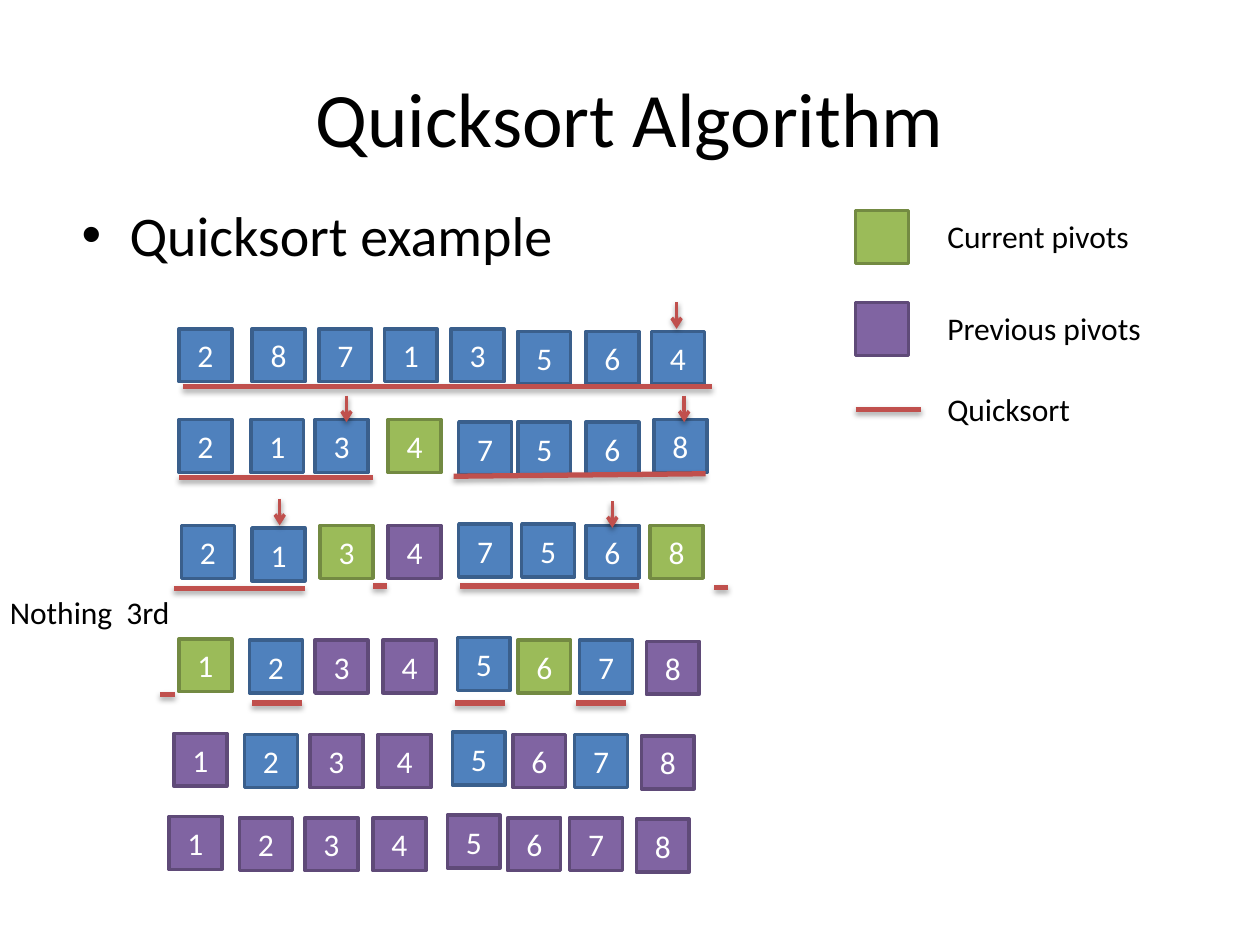
"""Build the quicksort example slide on a grid of 100 columns by 75 rows."""
from lxml import etree
from pptx import Presentation, util as u
from pptx.dml import color
from pptx.enum import shapes, text
from pptx.oxml import ns

prs = Presentation()
prs.slide_width, prs.slide_height = u.Inches(10), u.Inches(7.5)
s = prs.slides.add_slide(prs.slide_layouts[6])
unit = prs.slide_width // 100
rgb = color.RGBColor.from_string


def grid(*cells):
    return [round(c * unit) for c in cells]


def write(sp, words, size=18, fill="000000", align="LEFT", anchor="TOP", before=0):
    tf = sp.text_frame
    tf.word_wrap = True
    tf.vertical_anchor = text.MSO_ANCHOR[anchor]
    p = tf.paragraphs[0]
    p.alignment = text.PP_ALIGN[align]
    p.space_before = u.Pt(before)
    r = p.add_run()
    r.text = words
    r.font.size, r.font.name = u.Pt(size), "Calibri"
    r.font.color.rgb = rgb(fill)
    return p


write(s.shapes.add_textbox(*grid(5, 3, 90, 12.5)), "Quicksort Algorithm",
      size=44, align="CENTER", anchor="MIDDLE")
p = write(s.shapes.add_textbox(*grid(5.5, 15.4, 90, 6.7)), "Quicksort example",
          size=32, before=6.4)
pPr = p._p.get_or_add_pPr()
pPr.set("marL", str(u.Inches(0.38)))
pPr.set("indent", str(-u.Inches(0.38)))
etree.SubElement(pPr, ns.qn("a:buFont")).set("typeface", "Arial")
etree.SubElement(pPr, ns.qn("a:buChar")).set("char", "•")

labels = [
    (74.2, 16.7, 20, "Current pivots"),
    (74.2, 24, 21.7, "Previous pivots"),
    (74.2, 30.5, 21.7, "Quicksort"),
    (-0.2, 46.6, 15.6, "Nothing  3rd"),
]
for x, y, w, words in labels:
    write(s.shapes.add_textbox(*grid(x, y, w, 4)), words)

# digits, states (w waiting, c current pivot, p previous pivot), top, columns, dips
late = [14.2, 19.8, 25, 30.4, 36.3, 41.1, 46, 51.3]
late_dips = [0.1, 0.2, 0.2, 0.2, 0, 0.2, 0.2, 0.3]
rows = [
    ("28713564", "wwwwwwww", 26.1, [14.2, 20, 25.3, 30.5, 35.8, 41.1, 46.5, 51.7],
     [0, 0, 0, 0, 0, 0.2, 0.2, 0.2]),
    ("21347568", "wwwcwwww", 33.3, [14.2, 19.9, 25, 30.8, 36.4, 41.1, 46.5, 51.9],
     [0, 0, 0, 0, 0.2, 0.2, 0.2, 0]),
    ("21347568", "wwcpwwwc", 41.6, [14.4, 20, 25.4, 30.8, 36.4, 41.4, 46.5, 51.6],
     [0.1, 0.3, 0.1, 0.1, 0, 0, 0.1, 0.1]),
    ("12345678", "cwppwcwp", 50.6, late, late_dips),
    ("12345678", "pwppwpwp", 58.1, [x - 0.4 for x in late], late_dips),
    ("12345678", "pppppppp", 64.7, [x - 0.8 for x in late], late_dips),
]
squares = [("", "c", 67.9, 16.7), ("", "p", 67.9, 24)]
for digits, states, top, columns, dips in rows:
    squares += [(d, k, x, top + dip)
                for d, k, x, dip in zip(digits, states, columns, dips)]

colours = {"w": ("4F81BD", "3A5F8C"), "c": ("9BBB59", "738A42"), "p": ("8064A2", "5F4A78")}
for digit, state, x, y in squares:
    fill, edge = colours[state]
    sp = s.shapes.add_shape(shapes.MSO_SHAPE.RECTANGLE, *grid(x, y, 4.2, 4.2))
    sp.shadow.inherit = False
    sp.fill.solid()
    sp.fill.fore_color.rgb = rgb(fill)
    sp.line.color.rgb = rgb(edge)
    sp.line.width = u.Pt(2)
    if digit:
        write(sp, digit, fill="FFFFFF", align="CENTER", anchor="MIDDLE")

underlines = [
    (67.9, 32.5, 73.1, 32.5),
    (14.5, 30.7, 56.5, 30.7),
    (29.6, 37.9, 14.2, 37.9), (36, 37.8, 56, 37.6),
    (13.8, 46.7, 24.2, 46.7), (29.6, 46.5, 30.7, 46.5),
    (36.5, 46.5, 50.7, 46.5), (56.7, 46.6, 57.8, 46.6),
    (12.7, 55.1, 13.9, 55.1),
] + [(x, 55.8, x + 4, 55.8) for x in (20, 36.1, 45.7)]
arrows = [(x, y, x, y + 2.1) for x, y in
          [(53.7, 24), (27.5, 31.4), (54.3, 31.4), (22.2, 39.6), (48.6, 39.8)]]

for ends in underlines + arrows:
    arrow = ends in arrows
    sp = s.shapes.add_connector(shapes.MSO_CONNECTOR.STRAIGHT, *grid(*ends))
    sp.line.color.rgb = rgb("C0504D")
    sp.line.width = u.Pt(2 if arrow else 3)
    if arrow:
        etree.SubElement(sp.line._get_or_add_ln(), ns.qn("a:tailEnd")).set("type", "arrow")
    effects = etree.SubElement(sp._element.spPr, ns.qn("a:effectLst"))
    shadow = etree.SubElement(effects, ns.qn("a:outerShdw"), blurRad=str(u.Pt(3.1)),
                              dist=str(u.Pt(1.6 if arrow else 1.8)), dir="5400000",
                              rotWithShape="0")
    black = etree.SubElement(shadow, ns.qn("a:srgbClr"), val="000000")
    etree.SubElement(black, ns.qn("a:alpha"), val="38000" if arrow else "35000")

prs.save("out.pptx")
